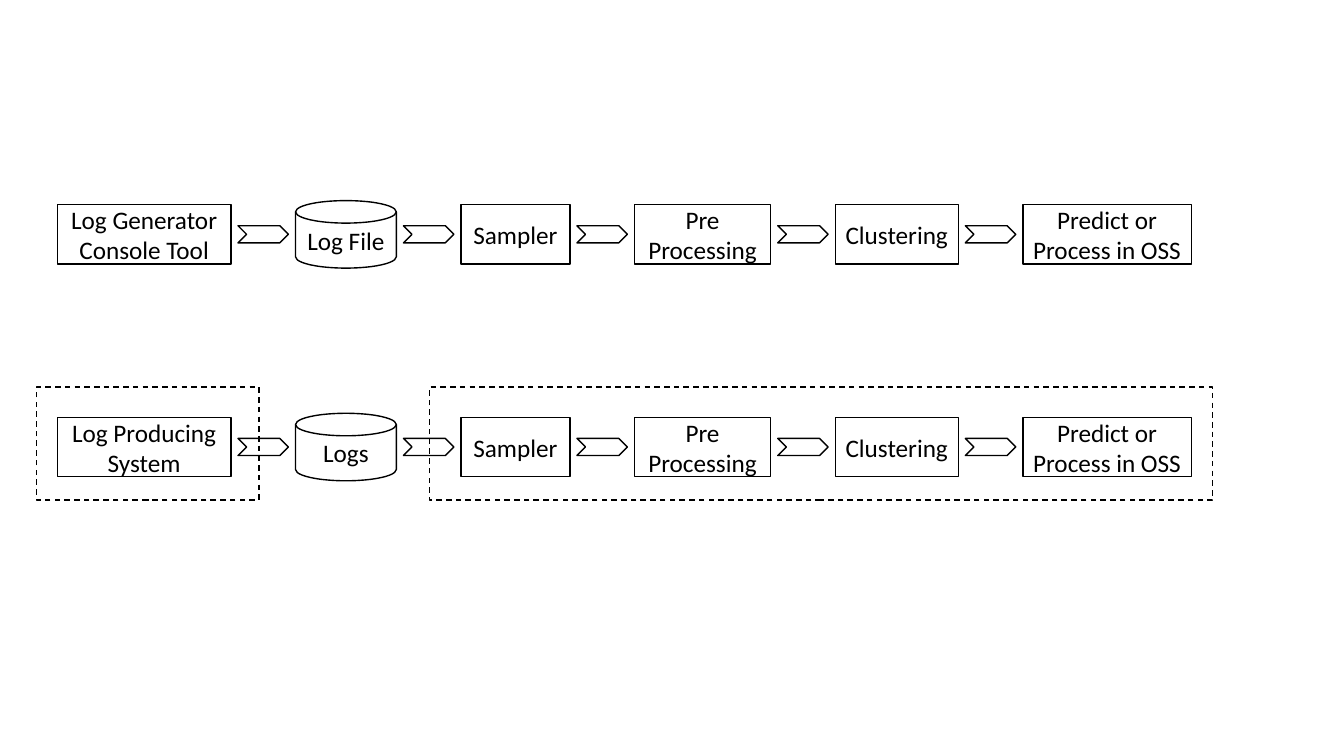
from pptx import Presentation
from pptx.util import Inches, Pt
from pptx.dml.color import RGBColor as RGB
from pptx.enum.dml import MSO_LINE as Dash
from pptx.enum.shapes import MSO_SHAPE as Kind
from pptx.enum.text import MSO_ANCHOR as Anchor, PP_ALIGN as Align

theme = {"font": "Calibri", "size": Pt(18), "ink": RGB(0, 0, 0),
         "paper": RGB(255, 255, 255), "line": Pt(1), "inset": Inches(0.05)}

deck = Presentation()
deck.slide_width, deck.slide_height = Inches(13.33), Inches(7.5)
slide = deck.slides.add_slide(deck.slide_layouts[6])


def add(kind, left, mid, wide, high, text="", dash=False):
    """Place a shape by percent of the slide, centred on the height mid."""
    w, h = deck.slide_width / 100, deck.slide_height / 100
    shape = slide.shapes.add_shape(kind, int(left * w), int((mid - high / 2) * h),
                                   int(wide * w), int(high * h))
    shape.shadow.inherit = False
    shape.line.color.rgb = theme["ink"]
    shape.line.width = theme["line"]
    if dash:
        shape.fill.background()
        shape.line.dash_style = Dash.DASH
    else:
        shape.fill.solid()
        shape.fill.fore_color.rgb = theme["paper"]
    if text:
        frame = shape.text_frame
        frame.text = text
        frame.word_wrap = True
        frame.vertical_anchor = Anchor.MIDDLE
        frame.margin_left = frame.margin_right = theme["inset"]
        for para in frame.paragraphs:
            para.alignment = Align.CENTER
            para.font.name = theme["font"]
            para.font.size = theme["size"]
            para.font.color.rgb = theme["ink"]


# Grid, in percent of the slide
start, gap, arrow = 4.28, 0.53, 3.75
widths = [12.9, 7.5, 8.1, 10.13, 9.15, 12.53]
box, disk, chevron = 7.87, 8.93, 2.27
shared = ["Sampler", "Pre Processing", "Clustering", "Predict or Process in OSS"]
rows = [(31, ["Log Generator\nConsole Tool", "Log File"]),
        (59.13, ["Log Producing System", "Logs"])]

# Pipelines: steps with a chevron between neighbours
for mid, first in rows:
    left = start
    for col, (wide, text) in enumerate(zip(widths, first + shared)):
        if col:
            add(Kind.CHEVRON, left + gap, mid, arrow, chevron)
            left += arrow + 2 * gap
        if col == 1:
            add(Kind.FLOWCHART_MAGNETIC_DISK, left, mid, wide, disk, text)
        else:
            add(Kind.RECTANGLE, left, mid, wide, box, text)
        left += wide

# Dashed frames around the two systems of the lower pipeline
for left, wide in [(31.95, 58.28), (2.7, 16.58)]:
    add(Kind.RECTANGLE, left, 58.67, wide, 14.93, dash=True)

deck.save("out.pptx")
